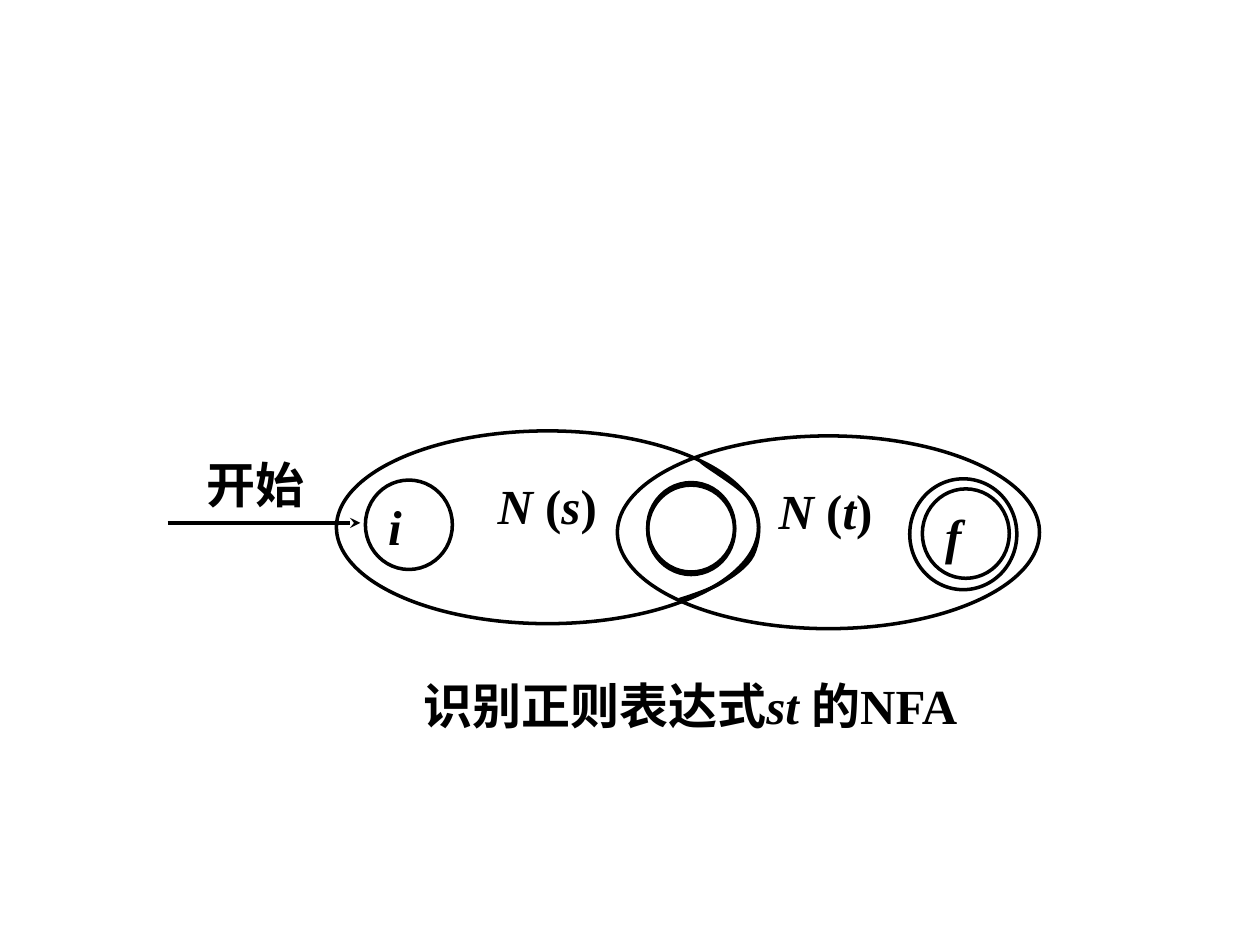
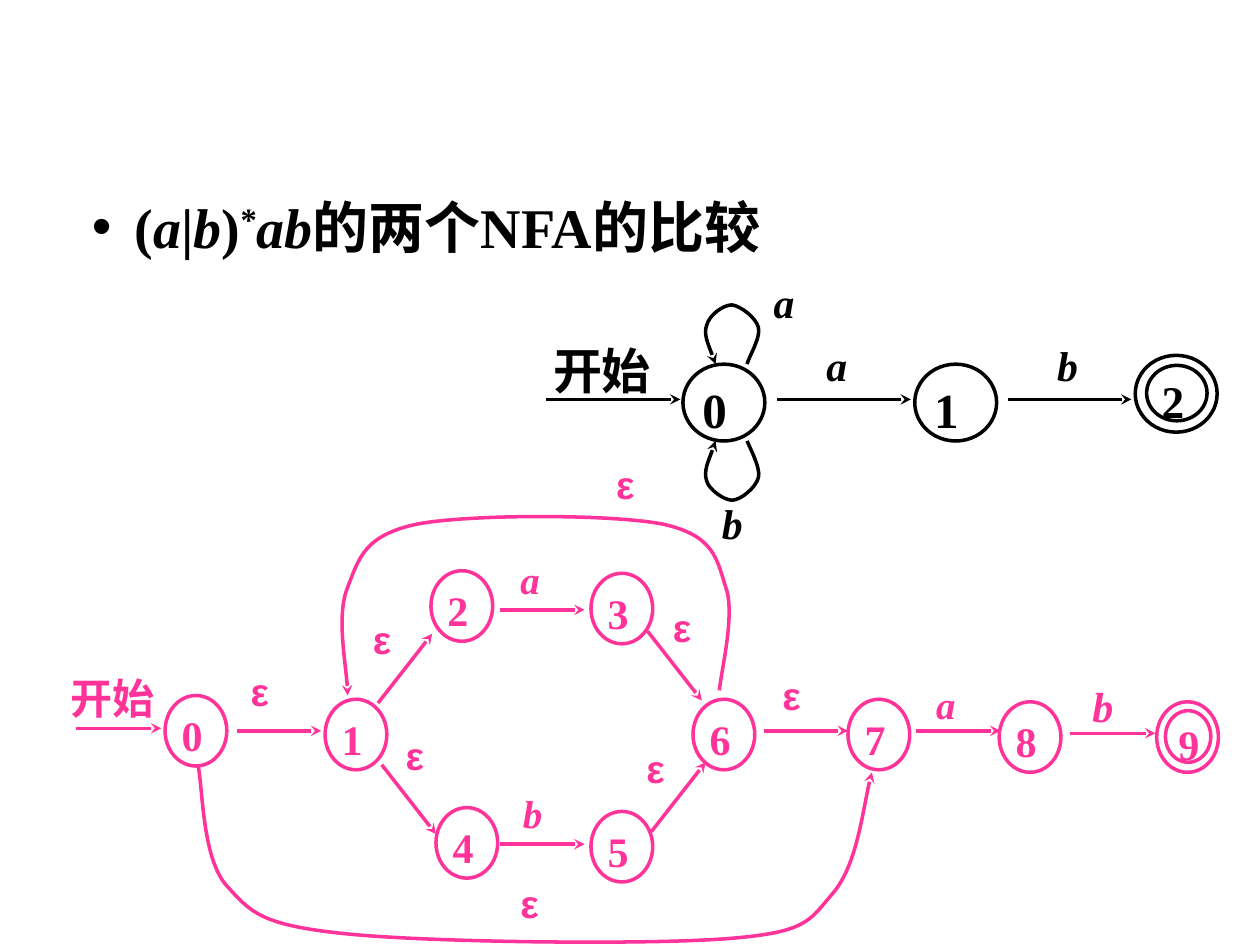
from dataclasses import dataclass

from lxml import etree
from pptx import Presentation
from pptx.dml.color import RGBColor
from pptx.enum import shapes, text
from pptx.oxml import ns
from pptx.util import Inches, Pt


@dataclass(frozen=True)
class Theme:
    black: str = "000000"
    pink: str = "FF3399"
    serif: str = "Times New Roman"
    sans: str = "Arial"
    stroke: float = 2
    heading: float = 32
    large: float = 28
    final: float = 25.9
    medium: float = 24
    symbol: float = 23.8
    small: float = 22.2


THEME = Theme()
LABEL_INSETS = (0.06, 0.03, 0.06, 0.03)
STATE_INSETS = (0.06, 0.03, 0.02, 0.05)
FINAL_INSETS = (0.05, 0, 0.01, 0)
MACHINE_INSETS = (0.09, 0.03, 0.1, 0.05)

HEADING = [("(", ""), ("a", "i"), ("|", ""), ("b", "i"), (")", ""),
           ("*", "^"), ("ab", "i"), ("的两个NFA的比较", "")]
CAPTION = [("识别正则表达式", ""), ("st ", "i"), ("的NFA", "")]
START = [("开始", "")]

MACHINES = [("s", 2.67, 3.42), ("t", 4.9, 3.46)]
MACHINE_SIZE = (3.35, 1.53)
MACHINE_LABEL_OFFSET = (1.19, 0.32)
INNER_SIZE = (0.69, 0.71)
INNER_STATES = [("i", 2.9, 3.81), ("", 5.14, 3.83), ("", 5.14, 3.85), ("f", 7.32, 3.88)]
ACCEPT_RING = (7.22, 3.8, 0.85, 0.88)
OVERLAP_EDGE = [(5.56, 3.66), (5.62, 3.72), (5.9, 3.87), (5.97, 3.99),
                (6.04, 4.11), (6.03, 4.26), (5.99, 4.37),
                (5.96, 4.47), (5.85, 4.55), (5.75, 4.61),
                (5.65, 4.68), (5.45, 4.74), (5.39, 4.76)]

SHORT_NFA = {
    "color": THEME.black, "state_size": (0.65, 0.61), "state_pt": THEME.large,
    "start": (4.33, 2.67, 1.06, 0.57),
    "states": [("0", 5.42, 2.89), ("1", 7.26, 2.89)],
    "final": ("2", 9.01, 2.82), "final_core": (9.1, 2.9, 0.48, 0.44),
    "final_pt": THEME.final,
    "label_size": (0.53, 0.49),
    "labels": [("a", 6.5, 2.67, THEME.symbol), ("a", 6.08, 2.17, THEME.symbol),
               ("b", 5.67, 3.92, THEME.symbol), ("b", 8.33, 2.67, THEME.symbol)],
    "arrows": [(4.33, 3.17, 5.4, 3.17), (6.17, 3.17, 7.23, 3.17), (8, 3.17, 8.98, 3.17)],
    "curves": [
        [(5.93, 2.89), (5.94, 2.84), (6.04, 2.68), (6.02, 2.6),
         (6, 2.52), (5.88, 2.43), (5.81, 2.42),
         (5.74, 2.42), (5.63, 2.5), (5.61, 2.58),
         (5.58, 2.65), (5.66, 2.83), (5.68, 2.89)],
        [(5.93, 3.5), (5.95, 3.55), (6.04, 3.72), (6.02, 3.79),
         (6, 3.87), (5.88, 3.97), (5.81, 3.97),
         (5.75, 3.97), (5.63, 3.89), (5.61, 3.82),
         (5.58, 3.74), (5.66, 3.57), (5.68, 3.5)],
    ],
}

LONG_NFA = {
    "color": THEME.pink, "state_size": (0.49, 0.56), "state_pt": THEME.medium,
    "start": (0.5, 5.31, 0.79, 0.53),
    "states": [("0", 1.31, 5.52), ("1", 2.58, 5.55), ("2", 3.42, 4.53),
               ("3", 4.69, 4.55), ("4", 3.46, 6.41), ("5", 4.69, 6.44),
               ("6", 5.5, 5.55), ("7", 6.73, 5.55), ("8", 7.93, 5.57)],
    "final": ("9", 9.18, 5.57), "final_core": (9.25, 5.64, 0.36, 0.41),
    "final_pt": THEME.medium,
    "label_size": (0.43, 0.45),
    "labels": [("a", 4.07, 4.38, THEME.small), ("b", 4.09, 6.24, THEME.small),
               ("a", 7.37, 5.37, THEME.small), ("b", 8.61, 5.37, THEME.medium)]
              + [("ε", x, y, THEME.small) for x, y in
                 [(1.93, 5.31), (2.9, 4.9), (3.16, 5.82), (5.28, 4.8),
                  (5.07, 5.92), (4.07, 6.99), (6.15, 5.34), (4.83, 3.67)]],
    "arrows": [(0.6, 5.78, 1.28, 5.78), (1.88, 5.8, 2.55, 5.8),
               (6.06, 5.8, 6.73, 5.8), (7.27, 5.8, 7.94, 5.8),
               (8.49, 5.82, 9.17, 5.82), (3.97, 4.84, 4.64, 4.84),
               (3.97, 6.7, 4.64, 6.7), (3, 5.58, 3.43, 5.03),
               (5.14, 5.01, 5.57, 5.56), (5.17, 6.6, 5.6, 6.05),
               (3.03, 6.07, 3.46, 6.62)],
    "curves": [
        [(1.57, 6.07), (1.61, 6.23), (1.6, 6.79), (1.79, 7.02),
         (1.99, 7.24), (2.06, 7.34), (2.73, 7.41),
         (3.39, 7.48), (5.12, 7.5), (5.77, 7.45),
         (6.41, 7.4), (6.42, 7.31), (6.61, 7.09),
         (6.8, 6.87), (6.86, 6.33), (6.92, 6.13)],
        [(5.71, 5.48), (5.72, 5.34), (5.84, 4.87), (5.76, 4.66),
         (5.69, 4.44), (5.67, 4.25), (5.26, 4.16),
         (4.85, 4.08), (3.73, 4.08), (3.31, 4.16),
         (2.89, 4.25), (2.85, 4.43), (2.76, 4.66),
         (2.67, 4.88), (2.76, 5.34), (2.76, 5.52)],
    ],
}


def write(frame, pieces, size, color, insets=LABEL_INSETS, align=text.PP_ALIGN.LEFT,
          font=THEME.serif):
    frame.word_wrap = True
    frame.auto_size = text.MSO_AUTO_SIZE.NONE
    frame.vertical_anchor = text.MSO_ANCHOR.TOP
    (frame.margin_left, frame.margin_top,
     frame.margin_right, frame.margin_bottom) = map(Inches, insets)
    line = frame.paragraphs[0]
    line.alignment = align
    line.space_before = Pt(0)
    for wording, style in pieces:
        run = line.add_run()
        run.text = wording
        run.font.name = font
        run.font.size = Pt(size)
        run.font.bold = True
        run.font.italic = "i" in style
        run.font.color.rgb = RGBColor.from_string(color)
        if "^" in style:
            run.font._element.set("baseline", "30000")
    return line


def label(slide, box, pieces, size, color, **options):
    frame = slide.shapes.add_textbox(*map(Inches, box)).text_frame
    return write(frame, pieces, size, color, **options)


def outline(part, color, arrow=False):
    part.line.color.rgb = RGBColor.from_string(color)
    part.line.width = Pt(THEME.stroke)
    if arrow:
        etree.SubElement(part.line._get_or_add_ln(), ns.qn("a:tailEnd"), type="stealth")


def ellipse(slide, box, color, name="", size=THEME.large, insets=STATE_INSETS, style=""):
    ring = slide.shapes.add_shape(shapes.MSO_SHAPE.OVAL, *map(Inches, box))
    ring.fill.background()
    ring.shadow.inherit = False
    outline(ring, color)
    if name:
        write(ring.text_frame, [(name, style)], size, color, insets)


def arrow(slide, ends, color):
    link = slide.shapes.add_connector(shapes.MSO_CONNECTOR.STRAIGHT, *map(Inches, ends))
    outline(link, color, arrow=True)
    etree.SubElement(link._element.spPr, ns.qn("a:effectLst"))


def curve(slide, points, color, arrow=False):
    first, *rest = [(Inches(x), Inches(y)) for x, y in points]
    builder = slide.shapes.build_freeform(*first)
    builder.add_line_segments(rest, close=False)
    bend = builder.convert_to_shape()
    bend.fill.background()
    bend.shadow.inherit = False
    outline(bend, color, arrow)
    steps = list(bend._element.iter(ns.qn("a:lnTo")))
    for start in range(0, len(steps), 3):
        triple = steps[start:start + 3]
        bezier = etree.SubElement(triple[0].getparent(), ns.qn("a:cubicBezTo"))
        for step in triple:
            bezier.append(step[0])
            step.getparent().remove(step)


def draw_nfa(slide, nfa):
    color = nfa["color"]
    for name, x, y in nfa["states"]:
        ellipse(slide, (x, y, *nfa["state_size"]), color, name, nfa["state_pt"])
    name, x, y = nfa["final"]
    ellipse(slide, (x, y, *nfa["state_size"]), color)
    ellipse(slide, nfa["final_core"], color, name, nfa["final_pt"], FINAL_INSETS)
    for ends in nfa["arrows"]:
        arrow(slide, ends, color)
    for points in nfa["curves"]:
        curve(slide, points, color, arrow=True)
    label(slide, nfa["start"], START, nfa["state_pt"], color)
    for symbol, x, y, size in nfa["labels"]:
        empty_move = symbol == "ε"
        line = label(slide, (x, y, *nfa["label_size"]),
                     [(symbol, "" if empty_move else "i")], size, color,
                     font=THEME.sans if empty_move else THEME.serif)
        if empty_move:
            line.line_spacing = 0.9


def concatenation_slide(deck):
    slide = deck.slides.add_slide(deck.slide_layouts[6])
    for name, x, y in MACHINES:
        ellipse(slide, (x, y, *MACHINE_SIZE), THEME.black)
        dx, dy = MACHINE_LABEL_OFFSET
        label(slide, (x + dx, y + dy, 1.16, 0.85),
              [("N ", "i"), ("(", ""), (name, "i"), (")", "")],
              THEME.large, THEME.black, insets=MACHINE_INSETS)
    ellipse(slide, ACCEPT_RING, THEME.black)
    for name, x, y in INNER_STATES:
        ellipse(slide, (x, y, *INNER_SIZE), THEME.black, name,
                insets=(0.08, 0.03, 0.02, 0.05), style="i")
    curve(slide, OVERLAP_EDGE, THEME.black)
    arrow(slide, (1.33, 4.15, 2.86, 4.15), THEME.black)
    label(slide, (1.58, 3.58, 1.12, 0.67), START, THEME.large, THEME.black)
    label(slide, (2.92, 5.33, 5.12, 0.6), CAPTION, THEME.large, THEME.black,
          align=text.PP_ALIGN.CENTER)


def comparison_slide(deck):
    slide = deck.slides.add_slide(deck.slide_layouts[1])
    title, body = slide.placeholders
    title._element.getparent().remove(title._element)
    body.left, body.top, body.width, body.height = map(Inches, (0.67, 1.5, 8.92, 0.6))
    line = write(body.text_frame, HEADING, THEME.heading, THEME.black)
    properties = line._p.get_or_add_pPr()
    properties.set("marL", str(Inches(0.34)))
    properties.set("indent", str(-Inches(0.34)))
    etree.SubElement(properties, ns.qn("a:buChar"), char="•")
    for nfa in (SHORT_NFA, LONG_NFA):
        draw_nfa(slide, nfa)


def main():
    deck = Presentation()
    deck.slide_width, deck.slide_height = Inches(10), Inches(7.5)
    concatenation_slide(deck)
    comparison_slide(deck)
    deck.save("out.pptx")


if __name__ == "__main__":
    main()
